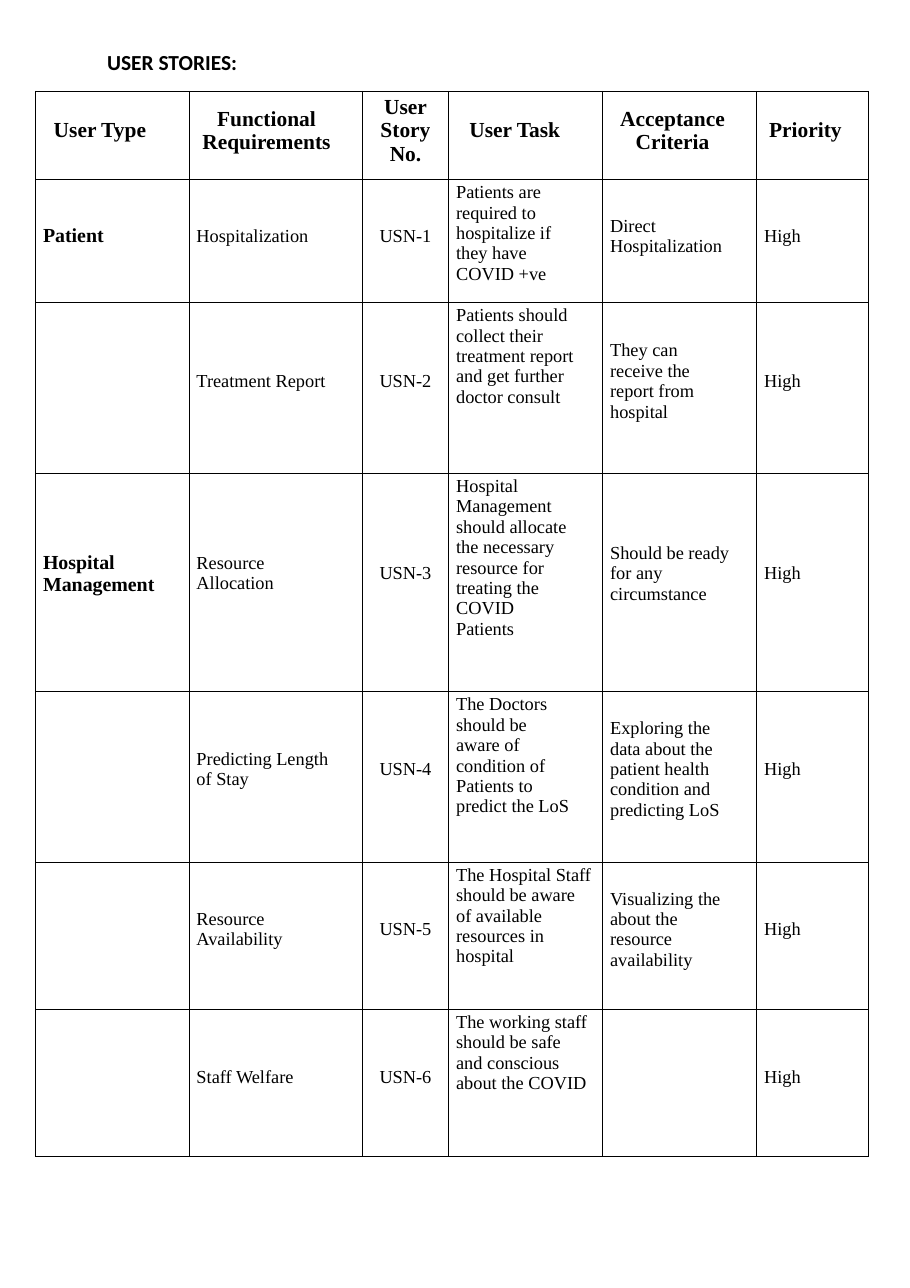
import pptx
import pptx.dml.color
import pptx.enum.text
import pptx.oxml
import pptx.oxml.ns
import pptx.util

Pt = pptx.util.Pt
ALIGN = pptx.enum.text.PP_ALIGN
ANCHOR = pptx.enum.text.MSO_ANCHOR
BLACK = pptx.dml.color.RGBColor(0, 0, 0)
TABLE_FONT = "Times New Roman"

COLUMN_WIDTHS = [100.3, 113.6, 56.2, 100.7, 100.7, 73.1]
ROW_HEIGHTS = [57.6, 80.5, 111.6, 142.8, 111.4, 96.3, 96.5]
# Bottom margins lift the middle-anchored text slightly above the row centre.
ROW_LIFTS = [6, 6, 8.5, 11.5, 9.5, 8, 8]
HEADER_RIGHT_MARGINS = [16, 12, 0, 14, 9, 9]
CELL_INDENT = 5
USER_TYPE, STORY_NUMBER, USER_TASK = 0, 2, 3

HEADER = ["User Type", "Functional\nRequirements", "User\nStory\nNo.",
          "User Task", "Acceptance\nCriteria", "Priority"]
# User type, functional requirement, user task, acceptance criteria
STORIES = [
    ("Patient", "Hospitalization",
     "Patients are\nrequired to\nhospitalize if\nthey have\nCOVID +ve",
     "Direct\nHospitalization"),
    ("", "Treatment Report",
     "Patients should\ncollect their\ntreatment report\nand get further\ndoctor consult",
     "They can\nreceive the\nreport from\nhospital"),
    ("Hospital\nManagement", "Resource\nAllocation",
     "Hospital\nManagement\nshould allocate\nthe necessary\nresource for\n"
     "treating the\nCOVID\nPatients",
     "Should be ready\nfor any\ncircumstance"),
    ("", "Predicting Length\nof Stay",
     "The Doctors\nshould be\naware of\ncondition of\nPatients to\npredict the LoS",
     "Exploring the\ndata about the\npatient health\ncondition and\npredicting LoS"),
    ("", "Resource\nAvailability",
     "The Hospital Staff\nshould be aware\nof available\nresources in\nhospital",
     "Visualizing the\nabout the\nresource\navailability"),
    ("", "Staff Welfare",
     "The working staff\nshould be safe\nand conscious\nabout the COVID", ""),
]


def write_lines(paragraph, text, font_name, size, bold):
    """Add each line of the text as one run, with line breaks between."""
    for index, line in enumerate(text.split("\n")):
        if index:
            paragraph.add_line_break()
        run = paragraph.add_run()
        run.text = line
        run.font.name = font_name
        run.font.size = Pt(size)
        run.font.bold = bold
        run.font.color.rgb = BLACK


def add_borders(cell):
    """Draw a thin black line on all four sides of a cell."""
    properties = cell._tc.get_or_add_tcPr()
    for side in ("lnL", "lnR", "lnT", "lnB"):
        properties.append(pptx.oxml.parse_xml(
            f'<a:{side} {pptx.oxml.ns.nsdecls("a")} w="{Pt(0.5)}"><a:solidFill>'
            f'<a:srgbClr val="{BLACK}"/></a:solidFill></a:{side}>'))


presentation = pptx.Presentation()
presentation.slide_width = Pt(595)
presentation.slide_height = Pt(842)
slide = presentation.slides.add_slide(presentation.slide_layouts[5])

title = slide.shapes.title
title.left, title.top, title.width, title.height = Pt(70), Pt(31), Pt(88), Pt(19)
title_frame = title.text_frame
title_frame.margin_left = title_frame.margin_right = 0
title_frame.margin_top = title_frame.margin_bottom = 0
title_frame.word_wrap = False
title_frame.auto_size = pptx.enum.text.MSO_AUTO_SIZE.NONE
title_frame.vertical_anchor = ANCHOR.MIDDLE
title_frame.paragraphs[0].alignment = ALIGN.LEFT
write_lines(title_frame.paragraphs[0], "USER STORIES:", "Calibri", 14, True)

rows = [HEADER]
for number, (user_type, requirement, task, criteria) in enumerate(STORIES, 1):
    rows.append([user_type, requirement, f"USN-{number}", task, criteria, "High"])

table = slide.shapes.add_table(
    len(rows), len(HEADER), Pt(23.2), Pt(59.6),
    Pt(sum(COLUMN_WIDTHS)), Pt(sum(ROW_HEIGHTS))).table
table.first_row = False
table.horz_banding = False
for column, width in zip(table.columns, COLUMN_WIDTHS):
    column.width = Pt(width)

for row_index, texts in enumerate(rows):
    table.rows[row_index].height = Pt(ROW_HEIGHTS[row_index])
    is_header = row_index == 0
    for column_index, text in enumerate(texts):
        cell = table.cell(row_index, column_index)
        add_borders(cell)
        cell.fill.background()
        is_centred = is_header or column_index == STORY_NUMBER
        is_task = column_index == USER_TASK and not is_header
        cell.margin_left = 0 if is_centred else Pt(CELL_INDENT)
        cell.margin_right = Pt(HEADER_RIGHT_MARGINS[column_index]) if is_header else 0
        cell.margin_top = Pt(2) if is_task else 0
        cell.margin_bottom = 0 if is_task else Pt(ROW_LIFTS[row_index])
        cell.vertical_anchor = ANCHOR.TOP if is_task else ANCHOR.MIDDLE
        if not text:
            continue
        paragraph = cell.text_frame.paragraphs[0]
        paragraph.alignment = ALIGN.CENTER if is_centred else ALIGN.LEFT
        is_user_type = column_index == USER_TYPE
        size = 14 if is_header else 13 if is_user_type else 12
        write_lines(paragraph, text, TABLE_FONT, size, is_header or is_user_type)

presentation.save("out.pptx")
